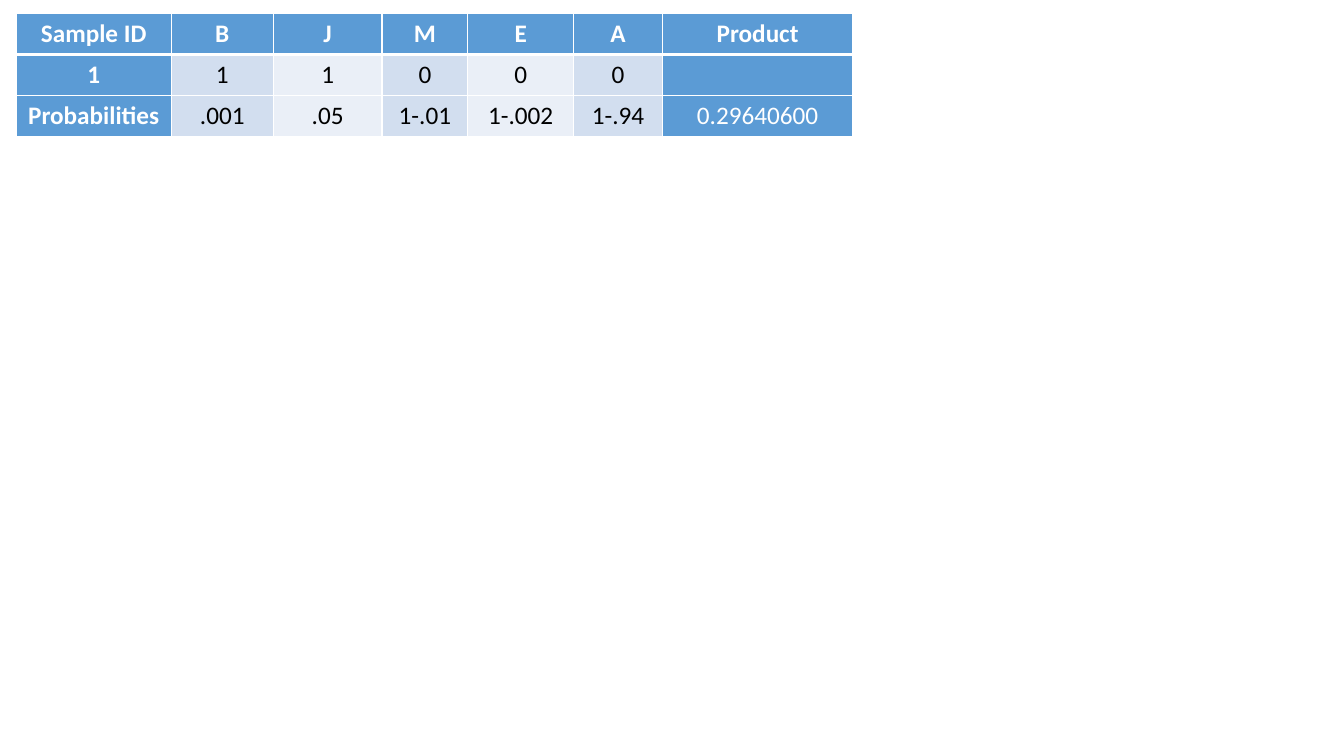
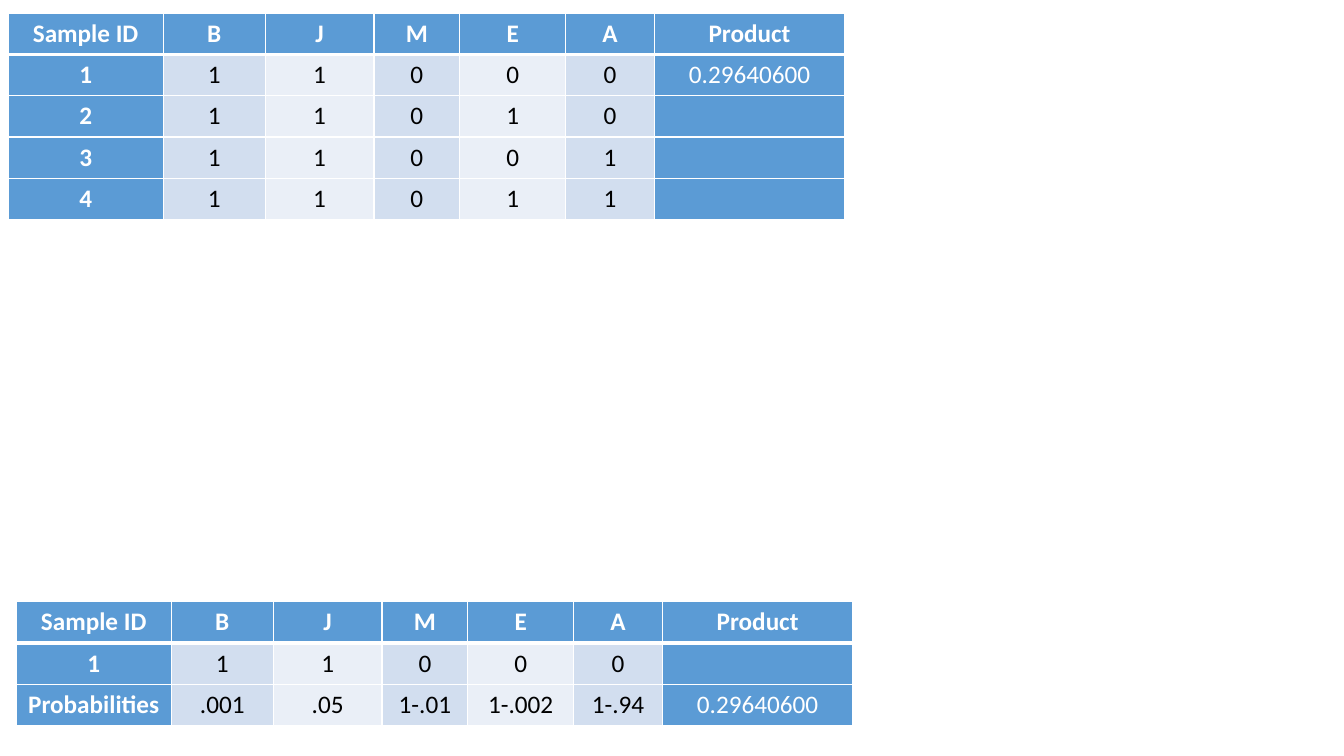
from dataclasses import dataclass

from lxml import etree
from pptx import Presentation
from pptx.dml.color import RGBColor
from pptx.enum.text import PP_ALIGN
from pptx.oxml.ns import qn
from pptx.util import Inches, Pt

CENTER = PP_ALIGN.CENTER
BLANK_LAYOUT = 6

# Content: each slide lists its tables as (left, top, rows)
HEADER = ("Sample ID", "B", "J", "M", "E", "A", "Product")
PROBABILITIES = [
    HEADER,
    ("1", "1", "1", "0", "0", "0", ""),
    ("Probabilities", ".001", ".05", "1-.01", "1-.002", "1-.94", "0.29640600"),
]
SAMPLES = [
    HEADER,
    ("1", "1", "1", "0", "0", "0", "0.29640600"),
    ("2", "1", "1", "0", "1", "0", ""),
    ("3", "1", "1", "0", "0", "1", ""),
    ("4", "1", "1", "0", "1", "1", ""),
]
SLIDES = [
    [(0.16, 0.13, PROBABILITIES)],
    [(0.08, 0.13, SAMPLES), (0.16, 5.97, PROBABILITIES)],
]

# Grid, in inches
SLIDE_WIDTH, SLIDE_HEIGHT = 13.33, 7.5
COLUMN_WIDTHS = (1.54, 1.01, 1.08, 0.85, 1.05, 0.88, 1.89)
ROW_HEIGHT = 0.41


@dataclass(frozen=True)
class Theme:
    font: str = "Calibri"
    size: int = 18
    accent: str = "5B9BD5"
    bands: tuple = ("D2DEEF", "EAEFF7")
    light: str = "FFFFFF"
    dark: str = "000000"
    thin: int = 1
    thick: int = 3


THEME = Theme()


def draw_borders(cell, row):
    """Rule the cell in white, with a heavy rule under the header."""
    widths = {"a:lnL": THEME.thin, "a:lnR": THEME.thin,
              "a:lnT": THEME.thick if row == 1 else THEME.thin,
              "a:lnB": THEME.thick if row == 0 else THEME.thin}
    properties = cell._tc.get_or_add_tcPr()
    for tag, width in widths.items():
        line = etree.SubElement(properties, qn(tag), w=str(Pt(width)))
        fill = etree.SubElement(line, qn("a:solidFill"))
        etree.SubElement(fill, qn("a:srgbClr"), val=THEME.light)


def style_cell(cell, row, column):
    """Accent the outer frame and band the value columns."""
    last = len(HEADER) - 1
    framed = row == 0 or column in (0, last)
    color = THEME.accent if framed else THEME.bands[(column - 1) % 2]
    draw_borders(cell, row)
    cell.fill.solid()
    cell.fill.fore_color.rgb = RGBColor.from_string(color)

    para = cell.text_frame.paragraphs[0]
    para.alignment = CENTER
    para.font.name = THEME.font
    para.font.size = Pt(THEME.size)
    para.font.bold = row == 0 or column == 0
    para.font.color.rgb = RGBColor.from_string(THEME.light if framed else THEME.dark)


def add_sample_table(page, left, top, rows):
    frame = page.shapes.add_table(
        len(rows), len(HEADER), Inches(left), Inches(top),
        Inches(sum(COLUMN_WIDTHS)), Inches(ROW_HEIGHT * len(rows)))
    table = frame.table
    table.first_col = table.last_col = table.vert_banding = True
    table.horz_banding = False
    for column, width in zip(table.columns, COLUMN_WIDTHS):
        column.width = Inches(width)
    for row, texts in enumerate(rows):
        table.rows[row].height = Inches(ROW_HEIGHT)
        for column, text in enumerate(texts):
            cell = table.cell(row, column)
            cell.text = text
            style_cell(cell, row, column)


# Build the deck
deck = Presentation()
deck.slide_width = Inches(SLIDE_WIDTH)
deck.slide_height = Inches(SLIDE_HEIGHT)
for tables in SLIDES:
    page = deck.slides.add_slide(deck.slide_layouts[BLANK_LAYOUT])
    for left, top, rows in tables:
        add_sample_table(page, left, top, rows)
deck.save("out.pptx")
